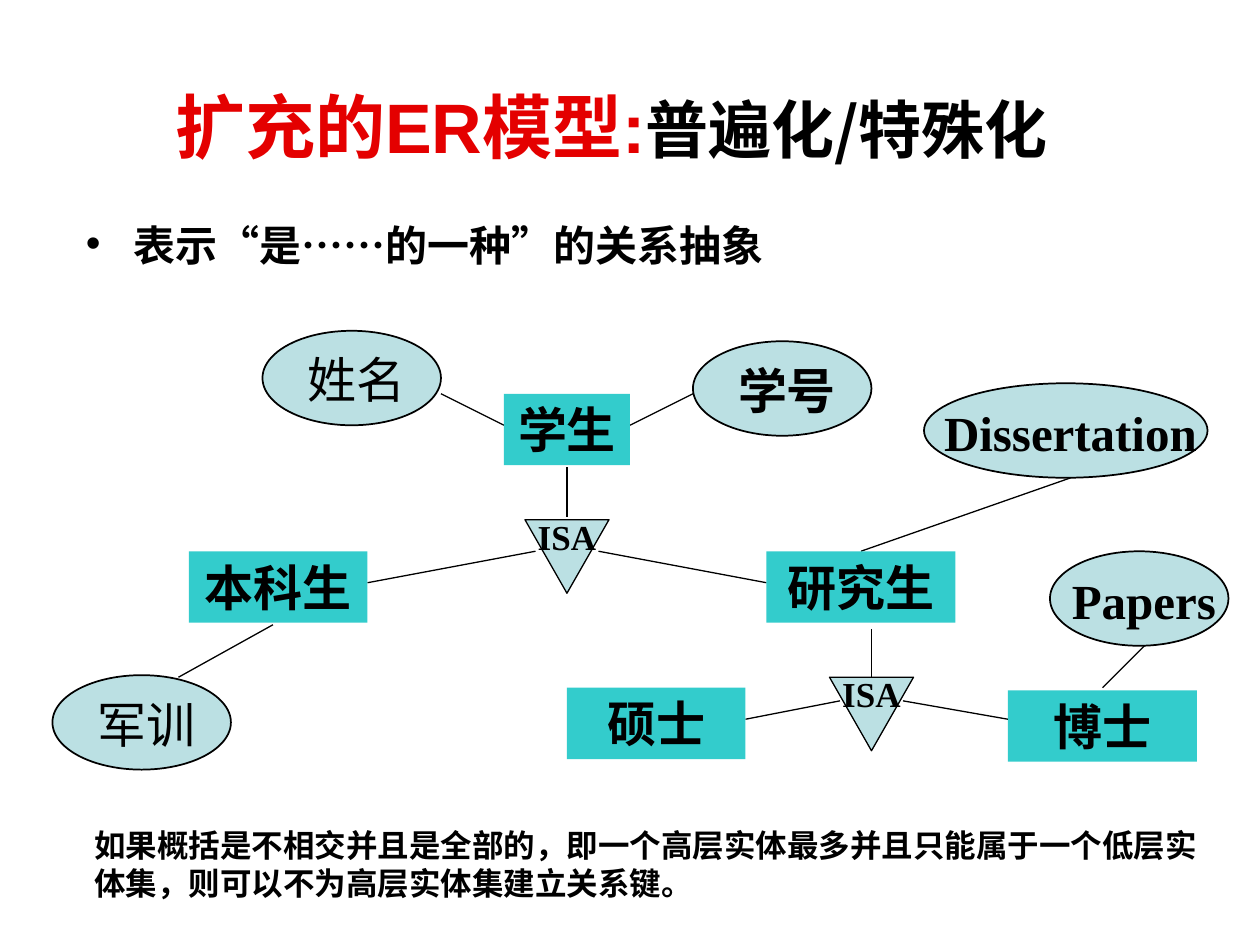
"""Build the slide on generalization and specialization in the extended ER model."""
from lxml.etree import SubElement
from pptx import Presentation
from pptx.dml.color import RGBColor
from pptx.enum.lang import MSO_LANGUAGE_ID as Lang
from pptx.enum.shapes import MSO_CONNECTOR as Connector, MSO_SHAPE as Shape
from pptx.enum.text import MSO_ANCHOR as Anchor, PP_ALIGN as Align
from pptx.oxml.ns import qn
from pptx.util import Inches, Pt

COLUMNS, ROWS = 120, 90
BLACK, RED, TEAL, PALE = "000000", "E40000", "33CCCC", "BBE0E3"
SERIF, SANS, CHINESE = "Times New Roman", "Arial", "Noto Sans CJK SC"

deck = Presentation()
deck.slide_width, deck.slide_height = Inches(10), Inches(7.5)
column, row = deck.slide_width / COLUMNS, deck.slide_height / ROWS
page = deck.slides.add_slide(deck.slide_layouts[6])


def add_figure(kind, left, top, width, height, fill=None, line_width=0):
    frame = [round(left * column), round(top * row), round(width * column), round(height * row)]
    if kind is None:
        return page.shapes.add_textbox(*frame)
    figure = page.shapes.add_shape(kind, *frame)
    figure.shadow.inherit = False
    figure.fill.solid()
    figure.fill.fore_color.rgb = RGBColor.from_string(fill)
    if line_width:
        figure.line.color.rgb = RGBColor.from_string(BLACK)
        figure.line.width = Pt(line_width)
    else:
        figure.line.fill.background()
    return figure


def add_text(box, runs, align=Align.CENTER, anchor=Anchor.TOP, spacing=1.0, east=SANS):
    box.text_frame.word_wrap = True
    box.text_frame.vertical_anchor = anchor
    para = box.text_frame.paragraphs[0]
    para.alignment = align
    para.line_spacing = spacing
    for text, size, font, color, bold in runs:
        span = para.add_run()
        span.text = text
        span.font.size = Pt(size)
        span.font.bold = bold
        span.font.color.rgb = RGBColor.from_string(color)
        span.font.name = font
        span.font.language_id = Lang.SIMPLIFIED_CHINESE
        SubElement(span.font._element, qn("a:ea"), typeface=east)
    return para


title = add_figure(None, 11.75, 7.2, 93, 9.6)
add_text(title, [("扩充的ER模型:", 40, SANS, RED, True),
                 ("普遍化/特殊化", 36, CHINESE, BLACK, True)], anchor=Anchor.MIDDLE)

summary = add_figure(None, 7, 21.4, 113, 7)
para = add_text(summary, [("表示“是……的一种”的关系抽象", 24, CHINESE, BLACK, True)],
                align=Align.LEFT, spacing=0.75, east=CHINESE)
settings = para._p.get_or_add_pPr()
settings.set("marL", str(Inches(0.38)))
settings.set("indent", str(-Inches(0.38)))
SubElement(settings, qn("a:buFont"), typeface=SANS)
SubElement(settings, qn("a:buChar"), char="•")

links = [
    (35, 55.5, 51, 52.5), (57, 52.5, 73, 55.5), (54, 44.5, 54, 49.2),
    (71, 68.5, 80, 66.75), (86, 66.75, 96, 68.5), (83, 59.9, 83, 64.5),
    (82, 52.5, 102, 45.5), (105, 65.5, 109, 61.5), (60, 40.5, 66, 37.5),
    (48, 40.5, 42, 37.5), (26, 59.5, 17, 64.5),
]
for start_x, start_y, end_x, end_y in links:
    link = page.shapes.add_connector(
        Connector.STRAIGHT, round(start_x * column), round(start_y * row),
        round(end_x * column), round(end_y * row))
    link.line.color.rgb = RGBColor.from_string(BLACK)
    link.line.width = Pt(0.75)
    SubElement(link._element.spPr, qn("a:effectLst"))

entities = [
    ("学生", 48, 37.5, 12), ("本科生", 18, 52.5, 17), ("研究生", 73, 52.5, 18),
    ("硕士", 54, 65.5, 17), ("博士", 96, 65.75, 18),
]
for name, left, top, width in entities:
    entity = add_figure(Shape.RECTANGLE, left, top, width, 6.8, TEAL)
    add_text(entity, [(name, 28, SERIF, BLACK, True)])

for center, top in [(54, 49.5), (83, 64.5)]:
    add_figure(Shape.FLOWCHART_MERGE, center - 4, top, 8, 7, PALE, 0.75)
    label = add_figure(None, center - 6, top - 1, 12, 5.25)
    add_text(label, [("ISA", 20, SERIF, BLACK, True)])

attributes = [
    ("姓名", 25, 31.5, 17, 11.6, False), ("学号", 66, 32.5, 17, 11.6, True),
    ("Dissertation", 88, 36.5, 27, 26.4, True), ("Papers", 100, 52.5, 17, 16.1, True),
    ("军训", 5, 64.3, 17, 11.6, False),
]
for name, left, top, width, label_width, bold in attributes:
    add_figure(Shape.OVAL, left, top, width, 9, PALE, 1)
    label = add_figure(None, left + (width - label_width) / 2 + 0.45, top + 1.2,
                       label_width, 6.8)
    label.text_frame.margin_left = label.text_frame.margin_right = 0
    add_text(label, [(name, 28, SERIF, BLACK, bold)], anchor=Anchor.MIDDLE)

note = add_figure(None, 3.25, 78.1, 113, 9)
para = add_text(note, [("如果概括是不相交并且是全部的，即一个高层实体最多并且只能属于一个低层实体集，"
                        "则可以不为高层实体集建立关系键。", 18, CHINESE, BLACK, True)],
                align=Align.LEFT)
para._p.get_or_add_pPr().set("marL", str(Inches(0.38)))

deck.save("out.pptx")
